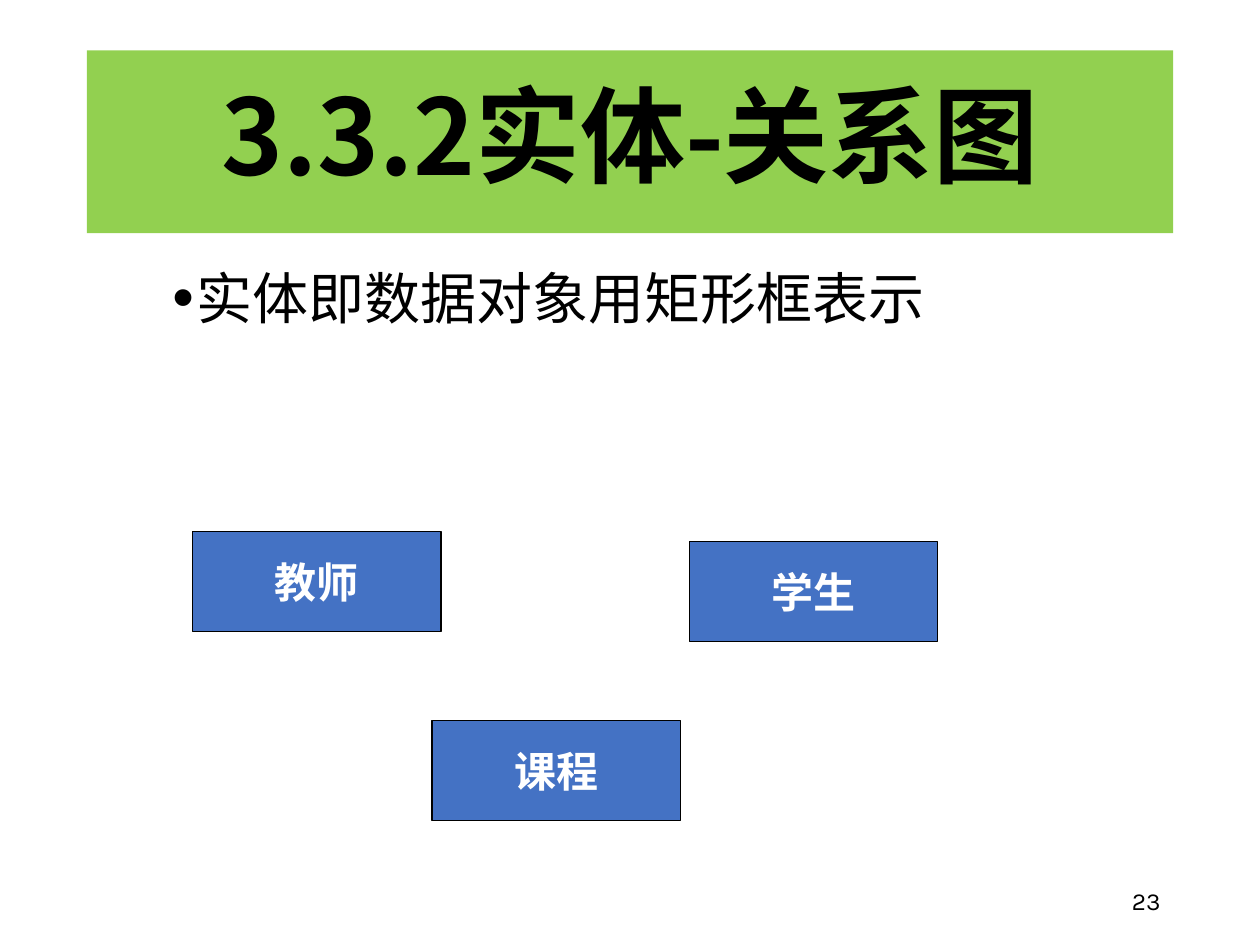
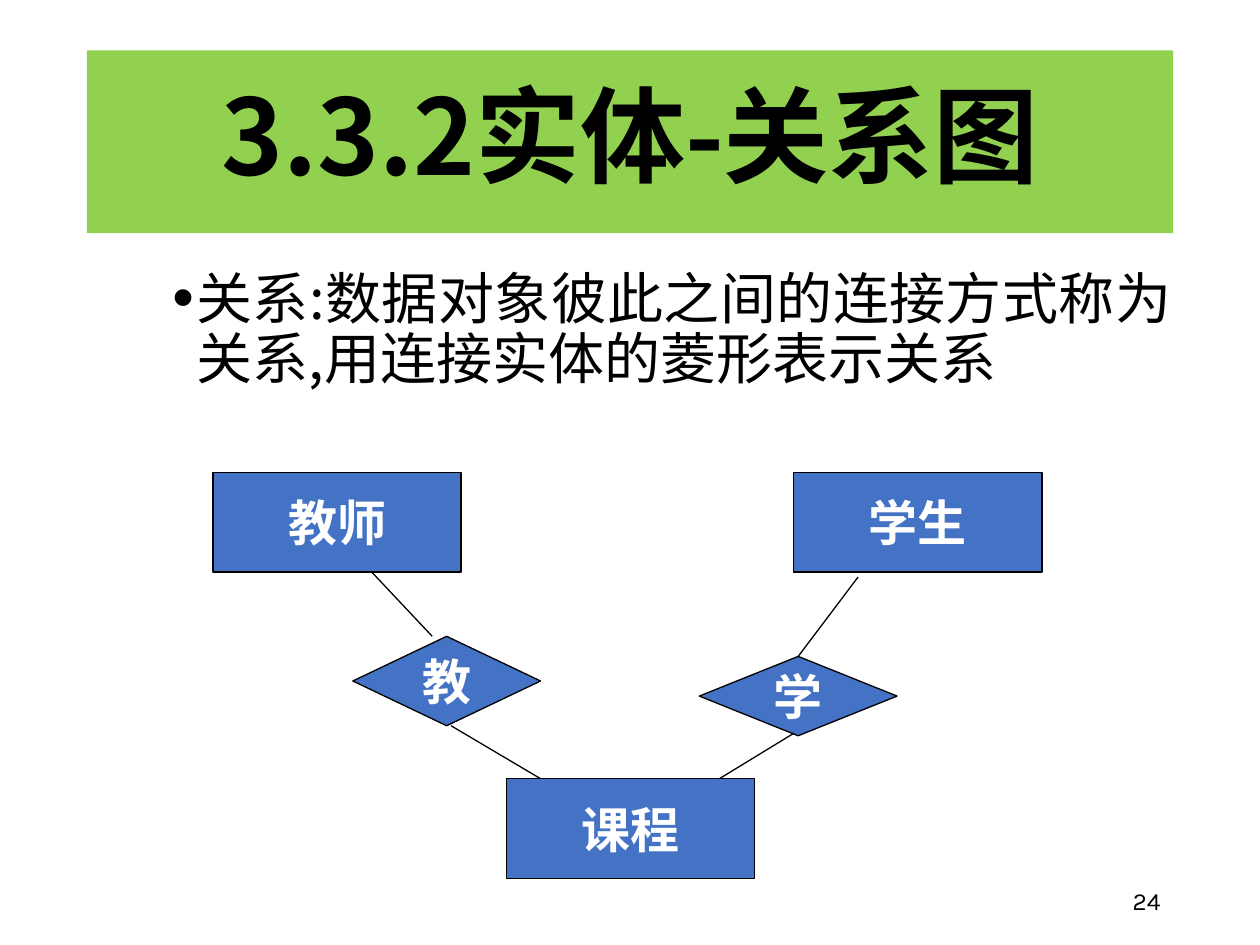
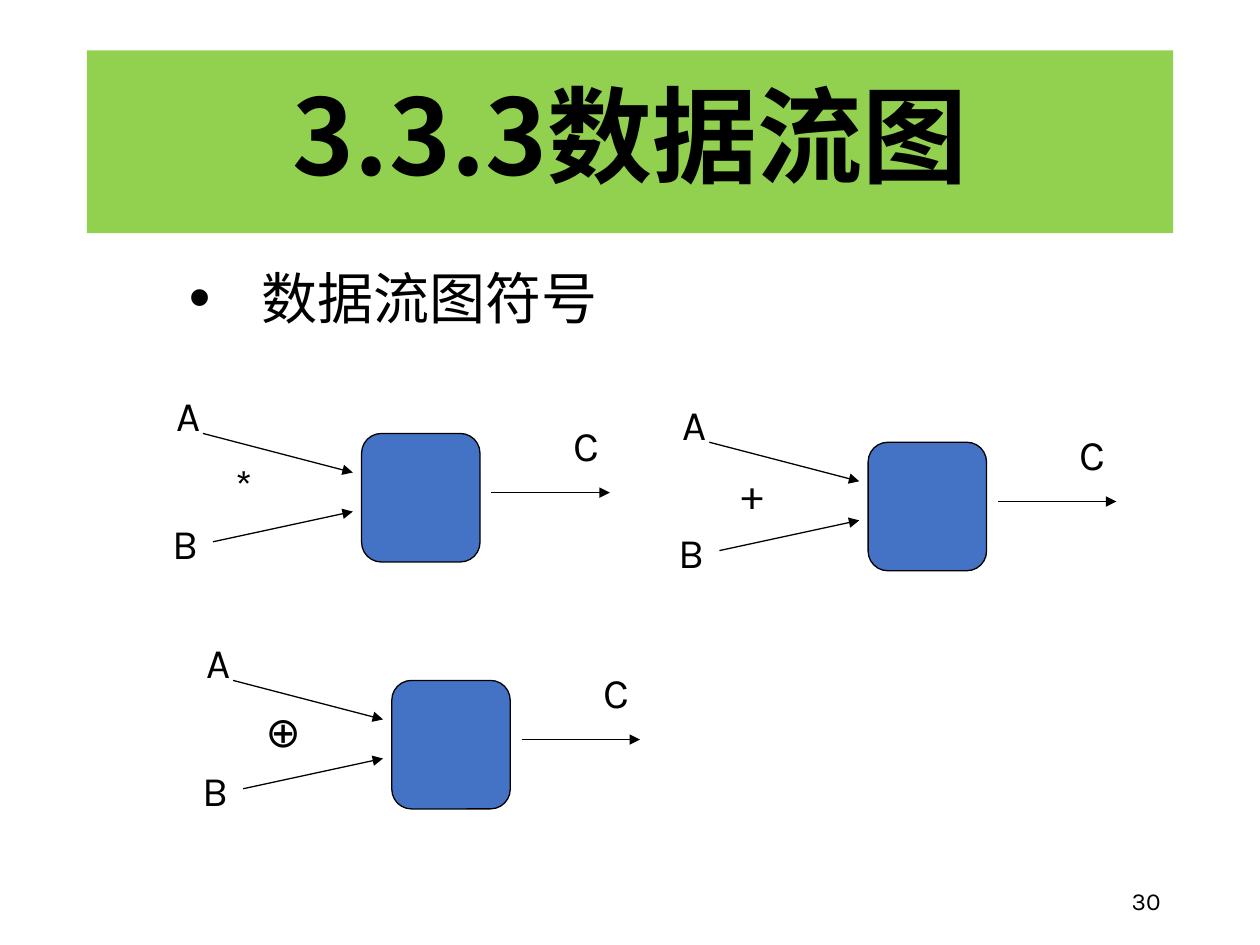
from lxml.etree import SubElement
from pptx import Presentation
from pptx.dml.color import RGBColor
from pptx.enum.shapes import MSO_CONNECTOR, MSO_SHAPE
from pptx.enum.text import MSO_ANCHOR, MSO_AUTO_SIZE, PP_ALIGN
from pptx.oxml.ns import qn
from pptx.util import Inches, Pt

GREEN = RGBColor(0x92, 0xD0, 0x50)
BLUE = RGBColor(0x44, 0x72, 0xC4)
BLACK = RGBColor(0, 0, 0)
WHITE = RGBColor(0xFF, 0xFF, 0xFF)
CJK_FONT = "Noto Sans CJK SC"
LATIN_FONT = "Karla"
LINE_WIDTH = Pt(0.75)

TITLE_FONT = {"size": Pt(60), "name": CJK_FONT, "bold": True}
BODY_FONT = {"size": Pt(32), "name": CJK_FONT, "bold": False}
LABEL_FONT = {"size": Pt(24), "name": LATIN_FONT, "bold": False}
NUMBER_FONT = {"size": Pt(14), "name": LATIN_FONT, "bold": False}

ENTITY_SIZE = (1.97, 0.79)
PROCESS_SIZE = (0.94, 1.02)
LABEL_SIZE = (0.47, 0.5)

# Parts of a data flow symbol, measured from the corner of its process box
FLOWS = [((-1.26, 0), (-0.07, 0.31)),
         ((-1.18, 0.86), (-0.07, 0.62)),
         ((1.03, 0.47), (1.97, 0.47))]
FLOW_LABELS = {"A": (-1.57, -0.4), "B": (-1.6, 0.62), "C": (1.58, -0.16)}
OPERATOR_OFFSET = (-1.1, 0.15)


def apply(target, settings):
    for attribute, value in settings.items():
        setattr(target, attribute, value)


def inches(*lengths):
    return [Inches(length) for length in lengths]


def shift(origin, offset):
    return origin[0] + offset[0], origin[1] + offset[1]


def write(frame, text, font, color=BLACK, align=PP_ALIGN.LEFT):
    """Fill the frame with one paragraph and return that paragraph."""
    paragraph = frame.paragraphs[0]
    paragraph.alignment = align
    run = paragraph.add_run()
    run.text = text
    apply(run.font, font)
    run.font.color.rgb = color
    SubElement(run.font._element, qn("a:ea"), typeface=CJK_FONT)
    return paragraph


def add_text(slide, at, size, text, font, align=PP_ALIGN.LEFT, **frame_settings):
    frame = slide.shapes.add_textbox(*inches(*at, *size)).text_frame
    apply(frame, {"word_wrap": True, **frame_settings})
    return write(frame, text, font, align=align)


def add_bullet(slide, text, margin, hanging):
    paragraph = add_text(slide, (0.9, 2.1), (8.5, 4.5), text, BODY_FONT,
                         PP_ALIGN.JUSTIFY)
    paragraph.line_spacing = 0.9
    properties = paragraph._p.get_or_add_pPr()
    properties.set("marL", str(Inches(margin)))
    properties.set("indent", str(-Inches(hanging)))
    SubElement(properties, qn("a:buSzPct"), val="110000")
    SubElement(properties, qn("a:buFont"), typeface="Arial")
    SubElement(properties, qn("a:buChar"), char="•")


def add_topic_slide(deck, heading, number, bullet, margin=0.56, hanging=0.19):
    """Add a slide with the green title band, one bullet and a page number."""
    slide = deck.slides.add_slide(deck.slide_layouts[5])
    title = slide.shapes.title
    left, top, width, height = inches(0.69, 0.4, 8.62, 1.45)
    apply(title, {"left": left, "top": top, "width": width, "height": height})
    title.fill.solid()
    title.fill.fore_color.rgb = GREEN
    apply(title.text_frame, {"vertical_anchor": MSO_ANCHOR.MIDDLE,
                             "word_wrap": True,
                             "auto_size": MSO_AUTO_SIZE.NONE})
    write(title.text_frame, heading, TITLE_FONT,
          align=PP_ALIGN.CENTER).line_spacing = 0.9
    add_bullet(slide, bullet, margin, hanging)
    add_text(slide, (7.06, 6.95), (2.25, 0.4), str(number), NUMBER_FONT,
             PP_ALIGN.RIGHT, vertical_anchor=MSO_ANCHOR.MIDDLE)
    return slide


def add_block(slide, kind, at, size):
    block = slide.shapes.add_shape(kind, *inches(*at, *size))
    block.shadow.inherit = False
    block.fill.solid()
    block.fill.fore_color.rgb = BLUE
    block.line.color.rgb = BLACK
    block.line.width = LINE_WIDTH
    return block


def add_node(slide, name, at, size=ENTITY_SIZE, kind=MSO_SHAPE.RECTANGLE,
             points=28):
    """Add an entity box or a relation diamond with its name."""
    node = add_block(slide, kind, at, size)
    apply(node.text_frame, {"word_wrap": False,
                            "vertical_anchor": MSO_ANCHOR.MIDDLE})
    font = {"size": Pt(points), "name": LATIN_FONT, "bold": True}
    write(node.text_frame, name, font, WHITE, PP_ALIGN.CENTER)
    return node


def add_link(slide, start, end, arrow=False):
    link = slide.shapes.add_connector(MSO_CONNECTOR.STRAIGHT,
                                      *inches(*start, *end))
    link.line.color.rgb = BLACK
    link.line.width = LINE_WIDTH
    if arrow:
        SubElement(link.line._get_or_add_ln(), qn("a:tailEnd"), type="triangle")
    SubElement(link._element.spPr, qn("a:effectLst"))
    return link


def add_flow_symbol(slide, corner, operator):
    """Add a process with inputs A and B, output C and the operator."""
    for start, end in FLOWS:
        add_link(slide, shift(corner, start), shift(corner, end), arrow=True)
    add_block(slide, MSO_SHAPE.ROUNDED_RECTANGLE, corner, PROCESS_SIZE)
    for label, offset in {**FLOW_LABELS, operator: OPERATOR_OFFSET}.items():
        add_text(slide, shift(corner, offset), LABEL_SIZE, label, LABEL_FONT,
                 auto_size=MSO_AUTO_SIZE.SHAPE_TO_FIT_TEXT)


def build_entities(deck):
    slide = add_topic_slide(deck, "3.3.2实体-关系图", 23,
                            "实体即数据对象用矩形框表示")
    for name, at in [("教师", (1.53, 4.22)), ("学生", (5.47, 4.3)),
                     ("课程", (3.43, 5.72))]:
        add_node(slide, name, at, points=24)


def build_relations(deck):
    slide = add_topic_slide(
        deck, "3.3.2实体-关系图", 24,
        "关系:数据对象彼此之间的连接方式称为关系,用连接实体的菱形表示关系")
    for name, at in [("教师", (1.69, 3.75)), ("学生", (6.3, 3.75)),
                     ("课程", (4.02, 6.18))]:
        add_node(slide, name, at)
    diamond = MSO_SHAPE.FLOWCHART_DECISION
    add_node(slide, "教", (2.8, 5.05), (1.49, 0.71), diamond)
    learning = add_node(slide, "学", (5.55, 5.21), (1.57, 0.63), diamond)
    add_link(slide, (2.95, 4.54), (3.43, 5.05))
    add_link(slide, (6.34, 5.21), (6.81, 4.58)).begin_connect(learning, 0)
    add_link(slide, (3.58, 5.76), (4.29, 6.18))
    add_link(slide, (5.71, 6.18), (6.3, 5.82))


def build_data_flow(deck):
    slide = add_topic_slide(deck, "3.3.3数据流图", 30, "数据流图符号",
                            margin=1.08, hanging=0.58)
    for operator, corner in [("*", (2.87, 3.44)), ("+", (6.89, 3.51)),
                             ("⊕", (3.11, 5.4))]:
        add_flow_symbol(slide, corner, operator)


def main():
    deck = Presentation()
    deck.slide_width, deck.slide_height = inches(10, 7.5)
    build_entities(deck)
    build_relations(deck)
    build_data_flow(deck)
    deck.save("out.pptx")


if __name__ == "__main__":
    main()
